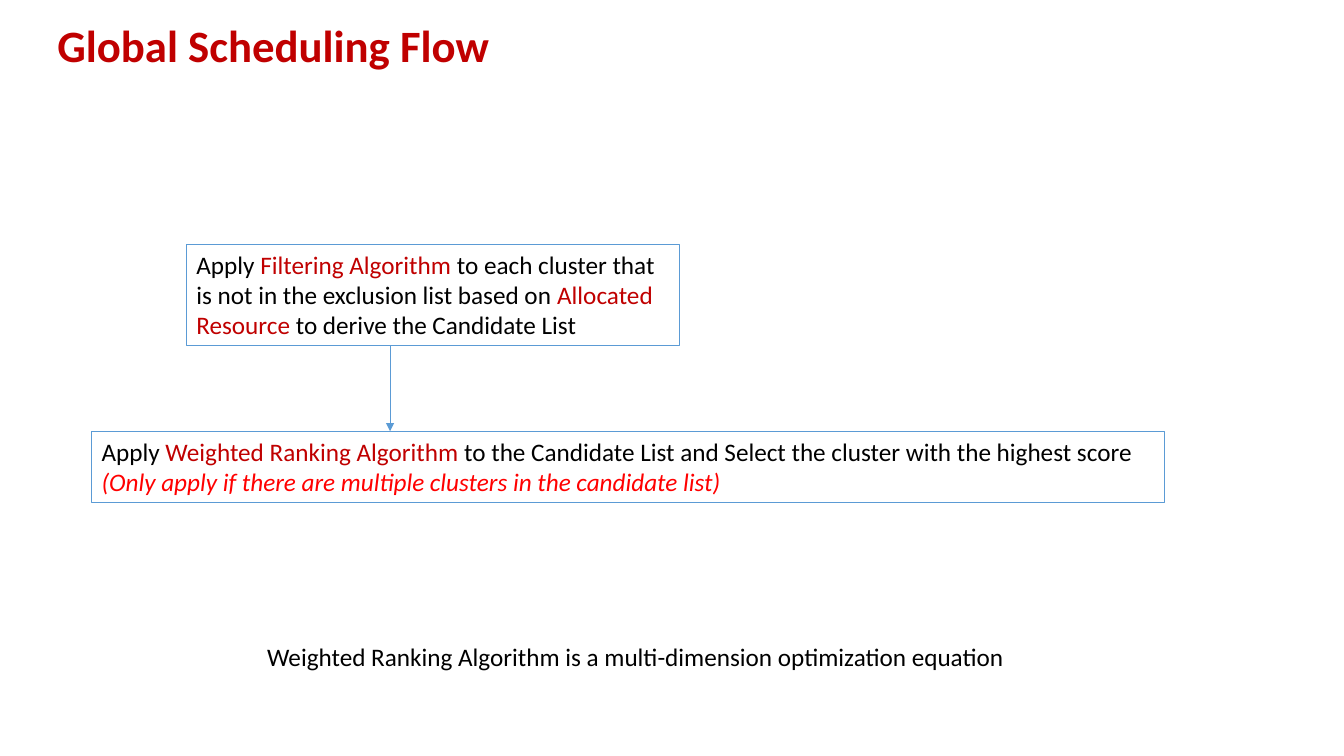
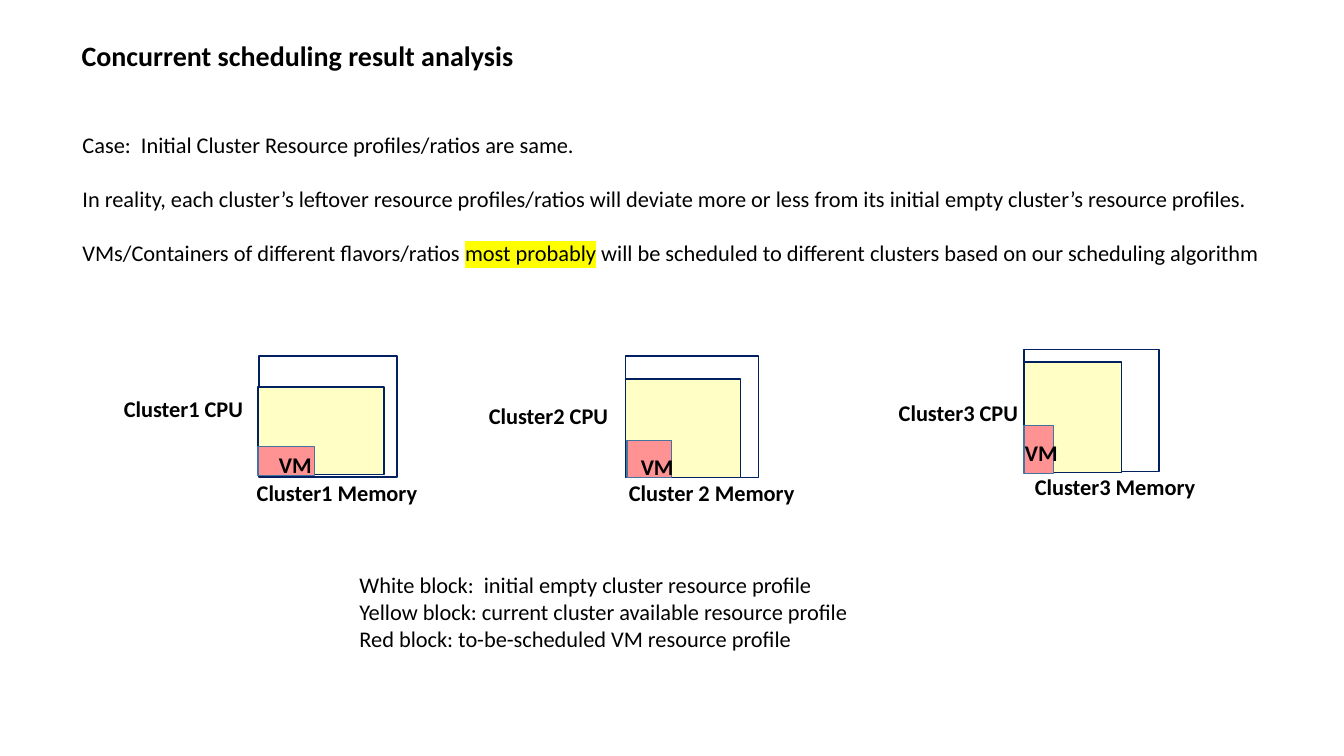
from dataclasses import dataclass
from typing import Any, NamedTuple, Optional

import pptx
import pptx.dml.color
import pptx.enum.shapes
import pptx.enum.text
import pptx.oxml
import pptx.oxml.ns
import pptx.util
from pptx.util import Cm

RGBColor = pptx.dml.color.RGBColor
BLACK = RGBColor(0x00, 0x00, 0x00)
WHITE = RGBColor(0xFF, 0xFF, 0xFF)
DARK_RED = RGBColor(0xC0, 0x00, 0x00)
RED = RGBColor(0xFF, 0x00, 0x00)
BLUE = RGBColor(0x5B, 0x9B, 0xD5)
NAVY = RGBColor(0x00, 0x20, 0x60)
STEEL = RGBColor(0x43, 0x73, 0x9E)
PALE_YELLOW = RGBColor(0xFF, 0xFF, 0xC5)
PINK = RGBColor(0xFF, 0x93, 0x93)
YELLOW = RGBColor(0xFF, 0xFF, 0x00)
FONT = "Calibri"


class Box(NamedTuple):
    left: float
    top: float
    width: float
    height: float

    def lengths(self) -> list:
        return [Cm(value) for value in self]


class Run(NamedTuple):
    text: str
    color: RGBColor = BLACK
    italic: bool = False
    highlight: Optional[RGBColor] = None


@dataclass(frozen=True)
class Cluster:
    cpu: str
    memory: str
    empty: Box
    available: Box
    vm: Box
    cpu_at: tuple[float, float]
    memory_at: tuple[float, float]
    vm_at: tuple[float, float]


CLUSTERS = [
    Cluster("Cluster1 CPU", "Cluster1 Memory",
            Box(6.53, 8.97, 3.48, 3.05), Box(6.5, 9.75, 3.18, 2.21),
            Box(6.5, 11.25, 1.42, 0.74),
            (2.87, 9.83), (6.22, 11.94), (6.78, 11.25)),
    Cluster("Cluster2 CPU", "Cluster 2 Memory",
            Box(15.77, 8.97, 3.35, 3.07), Box(15.77, 9.55, 2.9, 2.49),
            Box(15.8, 11.1, 1.12, 0.94),
            (12.07, 10.01), (15.6, 11.94), (15.9, 11.3)),
    Cluster("Cluster3 CPU", "Cluster3 Memory",
            Box(25.81, 8.81, 3.4, 3.07), Box(25.81, 9.12, 2.46, 2.79),
            Box(25.81, 10.72, 0.74, 1.22),
            (22.4, 9.93), (25.83, 11.81), (25.58, 10.95)),
]


def write(tf: Any, paragraphs: list[list[Run]], *, size: float, bold: bool = False,
          gap: float = 0, line_spacing: float = 1.0) -> None:
    tf.word_wrap = True
    tf.auto_size = pptx.enum.text.MSO_AUTO_SIZE.NONE
    tf.vertical_anchor = pptx.enum.text.MSO_ANCHOR.TOP
    for i, runs in enumerate(paragraphs):
        p = tf.add_paragraph() if i else tf.paragraphs[0]
        p.alignment = pptx.enum.text.PP_ALIGN.LEFT
        p.line_spacing = line_spacing
        p.space_before = pptx.util.Pt(gap if i else 0)
        for run in runs:
            r = p.add_run()
            r.text = run.text
            r.font.name = FONT
            r.font.size = pptx.util.Pt(size)
            r.font.bold = bold
            r.font.italic = run.italic
            r.font.color.rgb = run.color
            if run.highlight is not None:
                fill = r.font._element.find(pptx.oxml.ns.qn("a:solidFill"))
                fill.addnext(pptx.oxml.parse_xml(
                    f'<a:highlight {pptx.oxml.ns.nsdecls("a")}>'
                    f'<a:srgbClr val="{run.highlight}"/></a:highlight>'))


def add_titled_slide(prs: Any, title: str, box: Box, size: float, color: RGBColor) -> Any:
    s = prs.slides.add_slide(prs.slide_layouts[5])
    sp = s.shapes.title
    sp.left, sp.top, sp.width, sp.height = box.lengths()
    write(sp.text_frame, [[Run(title, color)]], size=size, bold=True, line_spacing=0.9)
    return s


def add_text(s: Any, box: Box, paragraphs: list[list[Run]], **text_format: Any) -> None:
    write(s.shapes.add_textbox(*box.lengths()).text_frame, paragraphs, **text_format)


def add_label(s: Any, at: tuple[float, float], width: float, text: str) -> None:
    add_text(s, Box(*at, width, 0.94), [[Run(text)]], size=16, bold=True)


def add_block(s: Any, box: Box, line: RGBColor, width: float,
              fill: Optional[RGBColor] = None) -> Any:
    sp = s.shapes.add_shape(pptx.enum.shapes.MSO_SHAPE.RECTANGLE, *box.lengths())
    sp.shadow.inherit = False
    if fill is None:
        sp.fill.background()
    else:
        sp.fill.solid()
        sp.fill.fore_color.rgb = fill
    sp.line.color.rgb = line
    sp.line.width = pptx.util.Pt(width)
    return sp


def add_down_arrow(s: Any, x: float, top: float, bottom: float) -> None:
    arrow = s.shapes.add_connector(pptx.enum.shapes.MSO_CONNECTOR.STRAIGHT,
                                   Cm(x), Cm(top), Cm(x), Cm(bottom))
    arrow.line.color.rgb = BLUE
    arrow.line.width = pptx.util.Pt(0.5)
    ns = pptx.oxml.ns.nsdecls("a")
    arrow.line._get_or_add_ln().append(
        pptx.oxml.parse_xml(f'<a:tailEnd {ns} type="triangle"/>'))
    arrow._element.spPr.append(pptx.oxml.parse_xml(f"<a:effectLst {ns}/>"))


def add_cluster(s: Any, cluster: Cluster) -> None:
    add_block(s, cluster.empty, NAVY, 1, WHITE)
    add_block(s, cluster.available, NAVY, 1, PALE_YELLOW)
    add_block(s, cluster.vm, STEEL, 1, PINK)
    add_label(s, cluster.cpu_at, 3.86, cluster.cpu)
    add_label(s, cluster.memory_at, 5.16, cluster.memory)
    add_label(s, cluster.vm_at, 1.5, "VM")


def build_flow(prs: Any) -> None:
    s = add_titled_slide(prs, "Global Scheduling Flow",
                         Box(1.19, 0.46, 20.88, 2.59), 32, DARK_RED)
    filtering = Box(4.7, 6.15, 12.42, 2.57)
    ranking = Box(2.31, 10.87, 27.05, 1.8)
    steps = [
        (filtering, [
            Run("Apply "), Run("Filtering Algorithm ", DARK_RED),
            Run("to each cluster that is not in the exclusion list based on "),
            Run("Allocated Resource ", DARK_RED), Run("to derive the Candidate List")]),
        (ranking, [
            Run("Apply "), Run("Weighted Ranking Algorithm ", DARK_RED),
            Run("to the Candidate List and Select the cluster with the highest score "),
            Run("(Only apply if there are multiple clusters in the candidate list)",
                RED, italic=True)]),
    ]
    for box, runs in steps:
        write(add_block(s, box, BLUE, 0.75).text_frame, [runs], size=18)
    add_down_arrow(s, 9.83, filtering.top + filtering.height, ranking.top)
    add_text(s, Box(6.48, 16.03, 19.15, 1.02),
             [[Run("Weighted Ranking Algorithm is a multi-dimension optimization equation")]],
             size=18)


def build_analysis(prs: Any) -> None:
    s = add_titled_slide(prs, "Concurrent scheduling result analysis",
                         Box(1.8, 0.94, 23.72, 1.96), 20, BLACK)
    add_text(s, Box(1.83, 3.18, 31.27, 3.7), [
        [Run("Case:  Initial Cluster Resource profiles/ratios are same.")],
        [Run("In reality, each cluster’s leftover resource profiles/ratios will deviate "
             "more or less from its initial empty cluster’s resource profiles.")],
        [Run("VMs/Containers of different flavors/ratios "),
         Run("most probably", highlight=YELLOW),
         Run(" will be scheduled to different clusters based on our scheduling algorithm")],
    ], size=16, gap=19.5)
    for cluster in CLUSTERS:
        add_cluster(s, cluster)
    legend = ["White block:  initial empty cluster resource profile",
              "Yellow block: current cluster available resource profile",
              "Red block: to-be-scheduled VM resource profile"]
    add_text(s, Box(8.81, 14.27, 18.44, 3), [[Run(line)] for line in legend], size=16)


def main() -> None:
    prs = pptx.Presentation()
    prs.slide_width, prs.slide_height = Cm(33.87), Cm(19.05)
    build_flow(prs)
    build_analysis(prs)
    prs.save("out.pptx")


if __name__ == "__main__":
    main()
